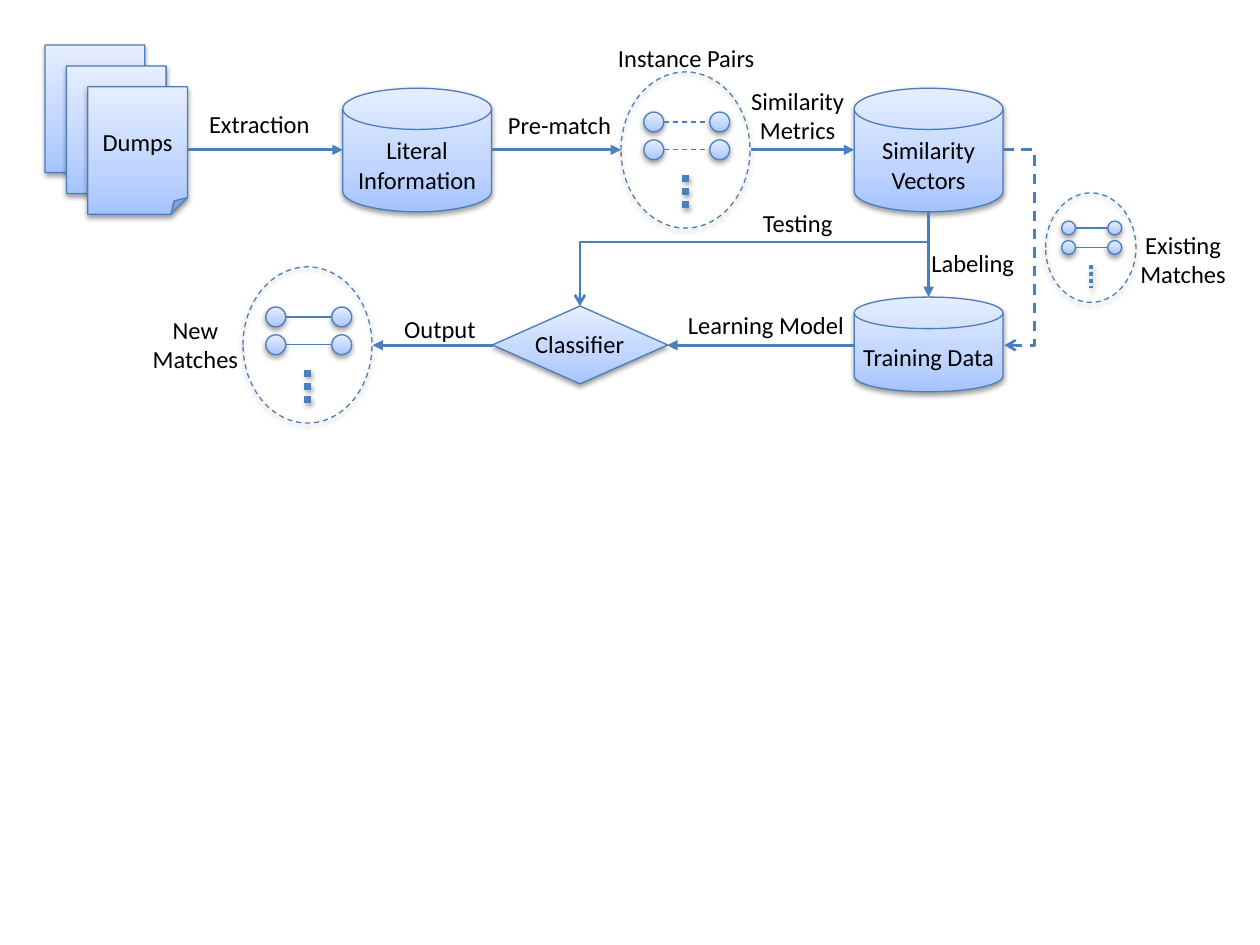
import enum
from dataclasses import dataclass

import lxml.etree
import pptx
import pptx.dml.color
import pptx.enum.dml
import pptx.enum.shapes
import pptx.enum.text
import pptx.oxml.ns
import pptx.util

Cm, Pt = pptx.util.Cm, pptx.util.Pt
RGB = pptx.dml.color.RGBColor.from_string
qn = pptx.oxml.ns.qn
SHAPE = pptx.enum.shapes.MSO_SHAPE
CONNECTOR = pptx.enum.shapes.MSO_CONNECTOR
ANCHOR = pptx.enum.text.MSO_ANCHOR


class Dash(enum.Enum):
    DASHED = pptx.enum.dml.MSO_LINE.DASH
    DOTTED = pptx.enum.dml.MSO_LINE.ROUND_DOT


@dataclass(frozen=True)
class Theme:
    font: str = "Calibri"
    size: float = 14
    ink: str = "000000"
    line: str = "4B7EBC"
    thin: float = 0.75
    flow: float = 1.5
    dots: float = 3.75
    stops: tuple = ((0, "A4C4FF"), (35, "BFD4FF"), (100, "E6EEFF"))
    shape_shadow: tuple = (3.1, 1.6, 90)
    dots_shadow: tuple = (3, 2, 60)


THEME = Theme()

# Content: all positions in centimetres
PAGES = ["", "", "Dumps"]
PAGE_BOX, PAGE_STEP = (0.91, 0.91, 2.01, 2.57), (0.43, 0.42)
DISKS = [
    ("Literal Information", (6.91, 1.78, 3.0, 2.49)),
    ("Similarity Vectors", (17.22, 1.78, 3.0, 2.49)),
    ("Training Data", (17.22, 5.99, 3.0, 1.91)),
]
DIAMOND = (9.93, 6.17, 3.53, 1.57)
# left, top, scale, dash of the pair links
CLUSTERS = [
    (12.52, 1.45, 1, Dash.DASHED),
    (21.08, 3.89, 0.7, None),
    (4.9, 5.38, 1, None),
]
LABELS = [
    ("Instance Pairs", (12.12, 0.74, 3.43, 0.86)),
    ("Extraction", (3.4, 2.06, 3.66, 0.86)),
    ("Pre-match", (9.45, 2.08, 3.66, 0.86)),
    ("Similarity Metrics", (14.25, 1.6, 3.66, 1.45)),
    ("Labeling", (17.78, 4.88, 3.66, 0.86)),
    ("Existing Matches", (22.02, 4.5, 3.66, 1.45)),
    ("Learning Model", (13.61, 6.12, 3.66, 0.86)),
    ("Classifier", (10.06, 6.5, 3.25, 0.86)),
    ("Testing", (14.25, 4.06, 3.66, 0.86)),
    ("New\nMatches", (2.77, 6.22, 2.34, 1.45)),
    ("Output", (7.04, 6.2, 3.66, 0.86)),
]
TOP_ROW, LOW_ROW = 3.02, 6.96
ARROWS = [
    ((3.77, TOP_ROW), (6.91, TOP_ROW)),
    ((9.91, TOP_ROW), (12.52, TOP_ROW)),
    ((15.13, TOP_ROW), (17.22, TOP_ROW)),
    ((18.72, 4.28), (18.72, 5.99)),
    ((17.22, LOW_ROW), (13.45, LOW_ROW)),
    ((9.93, LOW_ROW), (7.51, LOW_ROW)),
]
# start, end, position of the middle stretch
EXISTING_ROUTE = (20.22, TOP_ROW), (20.25, LOW_ROW), 20.85
TESTING_ROUTE = (18.72, 4.28), (11.69, 6.17), 4.88


def add(parent, tag, **attributes):
    return lxml.etree.SubElement(parent, qn(tag), attributes)


def set_shadow(item, shadow=None):
    properties = item._element.spPr
    effects = properties.find(qn("a:effectLst"))
    if effects is None:
        effects = add(properties, "a:effectLst")
    if shadow:
        blur, distance, angle = shadow
        outer = add(effects, "a:outerShdw", blurRad=str(int(Pt(blur))),
                    dist=str(int(Pt(distance))), dir=str(angle * 60000), rotWithShape="0")
        add(add(outer, "a:srgbClr", val="000000"), "a:alpha", val="38000")


def set_line(item, width, dash=None, head=None):
    item.line.color.rgb = RGB(THEME.line)
    item.line.width = Pt(width)
    if dash:
        item.line.dash_style = dash.value
    if head:
        add(item.line._get_or_add_ln(), "a:tailEnd", type=head)


def write(box, text, anchor=ANCHOR.MIDDLE, insets=(0.25, 0.13, 0.25, 0.13)):
    frame = box.text_frame
    frame.word_wrap, frame.vertical_anchor = True, anchor
    (frame.margin_left, frame.margin_top,
     frame.margin_right, frame.margin_bottom) = map(Cm, insets)
    for index, words in enumerate(text.split("\n")):
        para = frame.add_paragraph() if index else frame.paragraphs[0]
        para.alignment = pptx.enum.text.PP_ALIGN.CENTER
        span = para.add_run()
        span.text = words
        span.font.name, span.font.size = THEME.font, Pt(THEME.size)
        span.font.color.rgb = RGB(THEME.ink)


def add_block(kind, place, filled=True, dash=None):
    shape = slide.shapes.add_shape(kind, *map(Cm, place))
    if filled:
        shape.fill.gradient()
        shape.fill.gradient_angle = 90
        stops = shape._element.spPr.find(qn("a:gradFill")).find(qn("a:gsLst"))
        for stop in list(stops):
            stops.remove(stop)
        for position, color in THEME.stops:
            add(add(stops, "a:gs", pos=str(position * 1000)), "a:srgbClr", val=color)
    else:
        shape.fill.background()
    set_line(shape, THEME.thin, dash)
    shape.shadow.inherit = False
    set_shadow(shape, THEME.shape_shadow)
    return shape


def add_line(start, end, width, dash=None, head=None, shadow=None, kind=CONNECTOR.STRAIGHT):
    line = slide.shapes.add_connector(kind, *map(Cm, (*start, *end)))
    set_line(line, width, dash, head)
    set_shadow(line, shadow)
    return line


def set_bend(line, share):
    guides = line._element.spPr.find(qn("a:prstGeom")).get_or_add_avLst()
    add(guides, "a:gd", name="adj1", fmla=f"val {round(share * 100000)}")


def add_cluster(left, top, scale, dash):
    def at(x, y):
        return left + x * scale, top + y * scale

    add_block(SHAPE.OVAL, (left, top, 2.6 * scale, 3.15 * scale), False, Dash.DASHED)
    columns, size = (0.66, 1.99), 0.4
    for y in (1.01, 1.57):
        for x in columns:
            add_block(SHAPE.FLOWCHART_CONNECTOR,
                      (*at(x - size / 2, y - size / 2), size * scale, size * scale))
        add_line(at(columns[0] + size / 2, y), at(columns[1] - size / 2, y), THEME.thin, dash)
    add_line(at(1.3, 2.08), at(1.3, 2.74), 2 if scale < 1 else THEME.dots,
             Dash.DOTTED, shadow=THEME.dots_shadow)


deck = pptx.Presentation()
deck.slide_width, deck.slide_height = Cm(25.4), Cm(19.05)
slide = deck.slides.add_slide(deck.slide_layouts[6])

# Stack of dumps
for index, text in enumerate(PAGES):
    left, top, width, height = PAGE_BOX
    page = add_block(SHAPE.FOLDED_CORNER, (left + index * PAGE_STEP[0],
                                           top + index * PAGE_STEP[1], width, height))
    if text:
        write(page, text)

# Data stores, classifier and pair clusters
for text, place in DISKS:
    write(add_block(SHAPE.FLOWCHART_MAGNETIC_DISK, place), text, insets=(0, 0.3, 0, 0.13))
add_block(SHAPE.FLOWCHART_DECISION, DIAMOND)
for cluster in CLUSTERS:
    add_cluster(*cluster)

# Straight arrows
for start, end in ARROWS:
    add_line(start, end, THEME.flow, head="triangle")

# Bent arrow from the vectors round to the training data
start, end, middle = EXISTING_ROUTE
existing = add_line(start, end, THEME.flow, Dash.DASHED, "arrow", kind=CONNECTOR.ELBOW)
set_bend(existing, (middle - start[0]) / (end[0] - start[0]))

# Bent arrow down to the classifier: a quarter turn about its centre
start, end, middle = TESTING_ROUTE
across, down = start[0] - end[0], end[1] - start[1]
center_x, center_y = (start[0] + end[0]) / 2, (start[1] + end[1]) / 2
corner = center_x - down / 2, center_y - across / 2
testing = add_line(corner, (corner[0] + down, corner[1] + across), THEME.flow,
                   head="arrow", kind=CONNECTOR.ELBOW)
testing._element.spPr.find(qn("a:xfrm")).set("rot", str(90 * 60000))
set_bend(testing, (middle - start[1]) / down)

# Labels
for text, place in LABELS:
    write(slide.shapes.add_textbox(*map(Cm, place)), text, anchor=ANCHOR.TOP)

deck.save("out.pptx")
